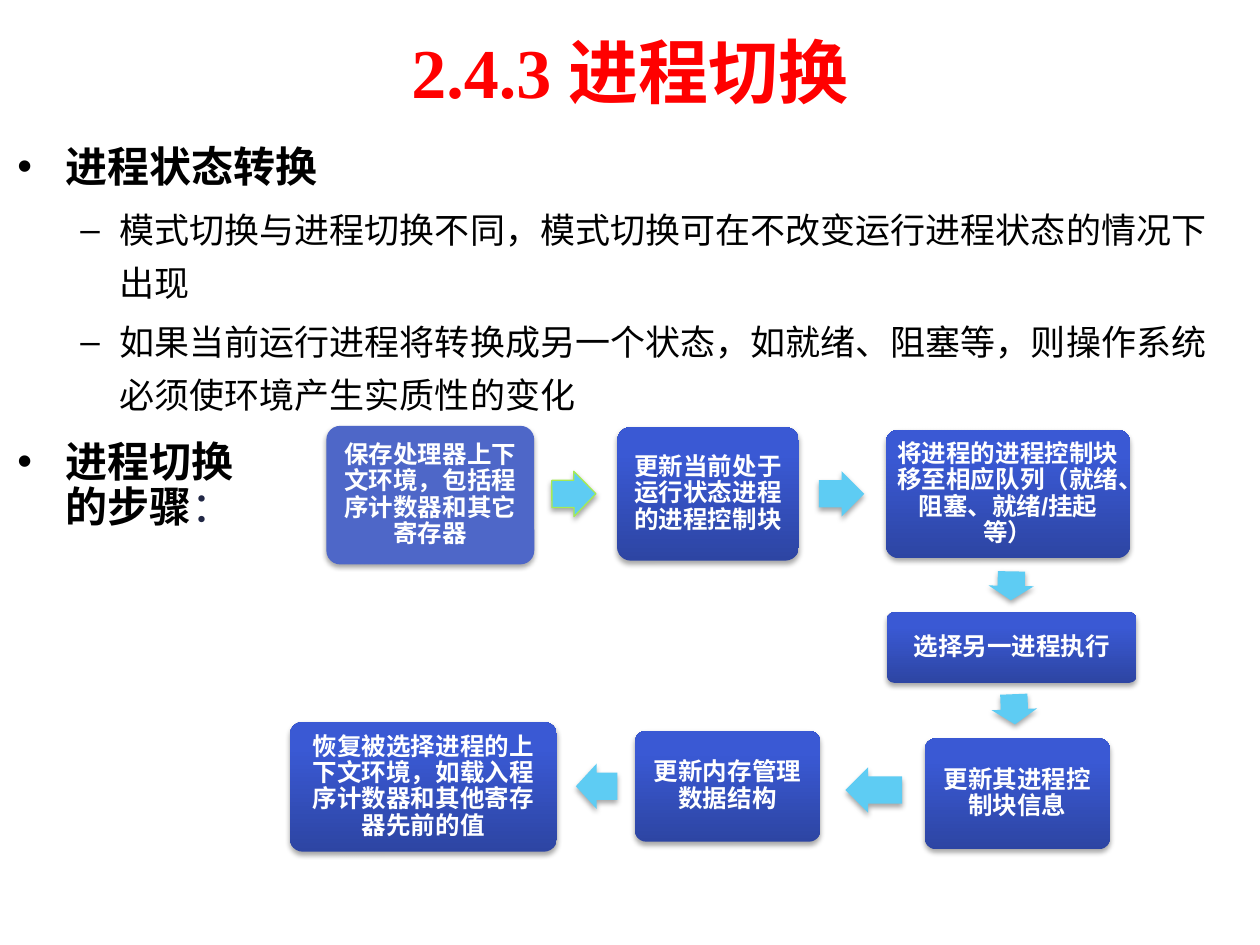
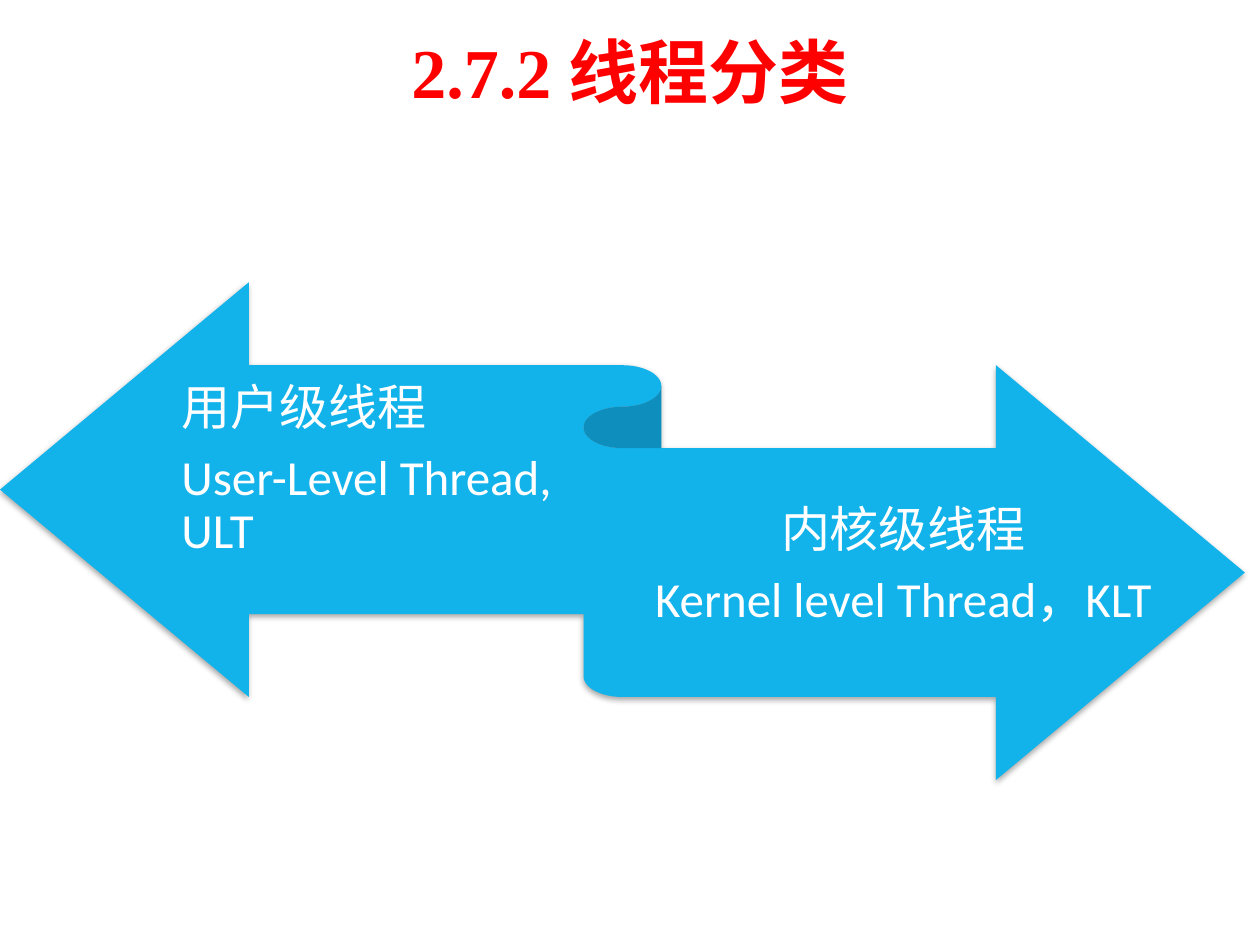
from copy import deepcopy
from dataclasses import dataclass

from pptx import Presentation
from pptx.dml.color import RGBColor as Color
from pptx.enum.shapes import MSO_SHAPE as Preset
from pptx.enum.text import MSO_ANCHOR as Anchor, PP_ALIGN as Align
from pptx.oxml import parse_xml
from pptx.oxml.ns import nsdecls, qn
from pptx.util import Inches, Pt


@dataclass(frozen=True)
class Theme:
    title: str = "FF0000"
    body: str = "000000"
    colon: str = "212745"
    light: str = "FFFFFF"
    first_step: str = "4E67C8"
    step_stops: tuple = ((0, "2D45A3"), (0.8, "3A59D4"), (1, "3758D7"))
    arrow: str = "5ECCF3"
    arrow_edge: str = "A7EA52"
    ribbon: str = "12B2EB"
    title_font: str = "Times New Roman"
    body_font: str = "Arial"
    latin_font: str = "Calibri"
    asian_font: str = "Noto Sans CJK SC"
    title_size: int = 40
    heading_size: int = 24
    detail_size: int = 20
    step_size: int = 14
    ribbon_size: int = 28


THEME = Theme()

STEPS = [
    ((2.59, 3.38, 1.65, 1.1), "保存处理器上下文环境，包括程序计数器和其它寄存器"),
    ((4.9, 3.39, 1.44, 1.06), "更新当前处于运行状态进程的进程控制块"),
    ((7.03, 3.41, 1.94, 1.02), "将进程的进程控制块移至相应队列（就绪、阻塞、就绪/挂起等）"),
    ((7.04, 4.86, 1.98, 0.56), "选择另一进程执行"),
    ((7.34, 5.86, 1.47, 0.88), "更新其进程控制块信息"),
    ((5.04, 5.8, 1.47, 0.88), "更新内存管理数据结构"),
    ((2.3, 5.73, 2.12, 1.03), "恢复被选择进程的上下文环境，如载入程序计数器和其他寄存器先前的值"),
]

STEP_ARROWS = [
    ((4.38, 3.74, 0.35, 0.36), 359.8),
    ((6.5, 3.74, 0.36, 0.36), 0),
    ((7.91, 4.47, 0.23, 0.36), 91.1),
    ((7.93, 5.45, 0.24, 0.36), 87.7),
    ((6.71, 6.09, 0.45, 0.36), 180),
    ((4.57, 6.06, 0.33, 0.36), 180),
]


def inches(bounds):
    return [Inches(value) for value in bounds]


def add_span(para, text, size, color=THEME.body, font=THEME.body_font, bold=False):
    span = para.add_run()
    span.text = text
    span.font.size = Pt(size)
    span.font.name = font
    span.font.bold = bold
    span.font.color.rgb = Color.from_string(color)
    asian = parse_xml(f'<a:ea {nsdecls("a")} typeface="{THEME.asian_font}"/>')
    span.font._element.find(qn("a:latin")).addnext(asian)


def set_frame(frame, anchor=Anchor.TOP, insets=(0.1, 0.05, 0.1, 0.05)):
    frame.word_wrap = True
    frame.vertical_anchor = anchor
    (frame.margin_left, frame.margin_top,
     frame.margin_right, frame.margin_bottom) = inches(insets)


def add_text_box(page, bounds, **frame_format):
    box = page.shapes.add_textbox(*inches(bounds))
    set_frame(box.text_frame, **frame_format)
    return box.text_frame


def add_para(frame, first=False, spacing=0.9, before=0, after=0, align=Align.LEFT):
    para = frame.paragraphs[0] if first else frame.add_paragraph()
    para.line_spacing = spacing
    para.space_before = Pt(before)
    para.space_after = Pt(after)
    para.alignment = align
    return para


def add_bullet(para, mark, left, hanging):
    properties = para._p.get_or_add_pPr()
    properties.set("marL", str(Inches(left)))
    properties.set("indent", str(-Inches(hanging)))
    for tag in (f'<a:buFont {nsdecls("a")} typeface="{THEME.body_font}"/>',
                f'<a:buChar {nsdecls("a")} char="{mark}"/>'):
        properties.append(parse_xml(tag))


def add_heading(frame, text, **para_format):
    para = add_para(frame, first=True, **para_format)
    add_bullet(para, "•", 0.38, 0.38)
    add_span(para, text, THEME.heading_size, bold=True)
    return para


def add_detail(frame, text):
    para = add_para(frame, spacing=1.25, before=0.2 * THEME.detail_size)
    para.level = 1
    add_bullet(para, "–", 0.81, 0.31)
    add_span(para, text, THEME.detail_size)


def add_shadow(shape):
    shape.shadow.inherit = False
    effects = shape._element.spPr.find(qn("a:effectLst"))
    effects.append(parse_xml(
        f'<a:outerShdw {nsdecls("a")} blurRad="{Pt(3.1)}" dist="{Pt(1.8)}" '
        'dir="5400000" rotWithShape="0"><a:srgbClr val="000000">'
        '<a:alpha val="35000"/></a:srgbClr></a:outerShdw>'))


def add_preset(page, preset, bounds, color, adjustments=()):
    shape = page.shapes.add_shape(preset, *inches(bounds))
    for index, value in enumerate(adjustments):
        shape.adjustments[index] = value
    shape.fill.solid()
    shape.fill.fore_color.rgb = Color.from_string(color)
    shape.line.fill.background()
    add_shadow(shape)
    return shape


def fill_gradient(shape, stops):
    shape.fill.gradient()
    shape.fill.gradient_angle = 90
    stop_list = shape._element.spPr.find(qn("a:gradFill")).find(qn("a:gsLst"))
    stop_list.append(deepcopy(stop_list[0]))
    for stop, (position, color) in zip(shape.fill.gradient_stops, stops):
        stop.position = position
        stop.color.rgb = Color.from_string(color)


def add_step(page, bounds, text):
    step = add_preset(page, Preset.ROUNDED_RECTANGLE, bounds, THEME.first_step, [0.1])
    set_frame(step.text_frame, anchor=Anchor.MIDDLE, insets=[0.06] * 4)
    para = add_para(step.text_frame, first=True, align=Align.CENTER,
                    after=0.35 * THEME.step_size)
    add_span(para, text, THEME.step_size, color=THEME.light, bold=True)
    return step


def add_step_arrow(page, bounds, rotation):
    arrow = add_preset(page, Preset.RIGHT_ARROW, bounds, THEME.arrow, [0.6, 0.5])
    arrow.rotation = rotation
    return arrow


def add_thread_label(page, bounds, name, term, align, anchor):
    frame = add_text_box(page, bounds, anchor=anchor, insets=(0, 0.11, 0, 0.12))
    for text, font in ((name, THEME.body_font), (term, THEME.latin_font)):
        para = add_para(frame, first=text == name, align=align,
                        after=0.35 * THEME.ribbon_size)
        add_span(para, text, THEME.ribbon_size, color=THEME.light, font=font)


def add_titled_page(deck, text):
    page = deck.slides.add_slide(deck.slide_layouts[5])
    title = page.shapes.title
    title.left, title.top, title.width, title.height = inches((0.5, 0.05, 9, 1.02))
    set_frame(title.text_frame, anchor=Anchor.MIDDLE)
    para = add_para(title.text_frame, first=True, spacing=1.0, align=Align.CENTER)
    add_span(para, text, THEME.title_size, color=THEME.title,
             font=THEME.title_font, bold=True)
    return page


def build_process_switch(deck):
    page = add_titled_page(deck, "2.4.3 进程切换")
    steps = [add_step(page, *step) for step in STEPS]
    for step in steps[1:]:
        fill_gradient(step, THEME.step_stops)
    arrows = [add_step_arrow(page, *arrow) for arrow in STEP_ARROWS]
    arrows[0].line.color.rgb = Color.from_string(THEME.arrow_edge)
    arrows[0].line.width = Pt(0.75)

    steps_frame = add_text_box(page, (0.04, 3.45, 2.08, 1.1))
    heading = add_heading(steps_frame, "进程切换的步骤")
    add_span(heading, "：", THEME.heading_size, color=THEME.colon)

    states_frame = add_text_box(page, (0.04, 0.99, 9.65, 2.33))
    add_heading(states_frame, "进程状态转换", spacing=1.2)
    add_detail(states_frame, "模式切换与进程切换不同，模式切换可在不改变运行进程状态的情况下出现")
    add_detail(states_frame, "如果当前运行进程将转换成另一个状态，如就绪、阻塞等，"
                             "则操作系统必须使环境产生实质性的变化")


def build_thread_types(deck):
    page = add_titled_page(deck, "2.7.2 线程分类")
    add_preset(page, Preset.LEFT_RIGHT_RIBBON, (0, 2.24, 9.88, 3.95), THEME.ribbon)
    add_thread_label(page, (1.44, 2.93, 3.26, 1.72), "用户级线程",
                     "User-Level Thread, ULT", Align.LEFT, Anchor.TOP)
    add_thread_label(page, (4.7, 3.53, 4.94, 1.94), "内核级线程",
                     "Kernel level Thread，KLT", Align.CENTER, Anchor.MIDDLE)


def main():
    deck = Presentation()
    deck.slide_width, deck.slide_height = inches((10, 7.5))
    build_process_switch(deck)
    build_thread_types(deck)
    deck.save("out.pptx")


if __name__ == "__main__":
    main()
